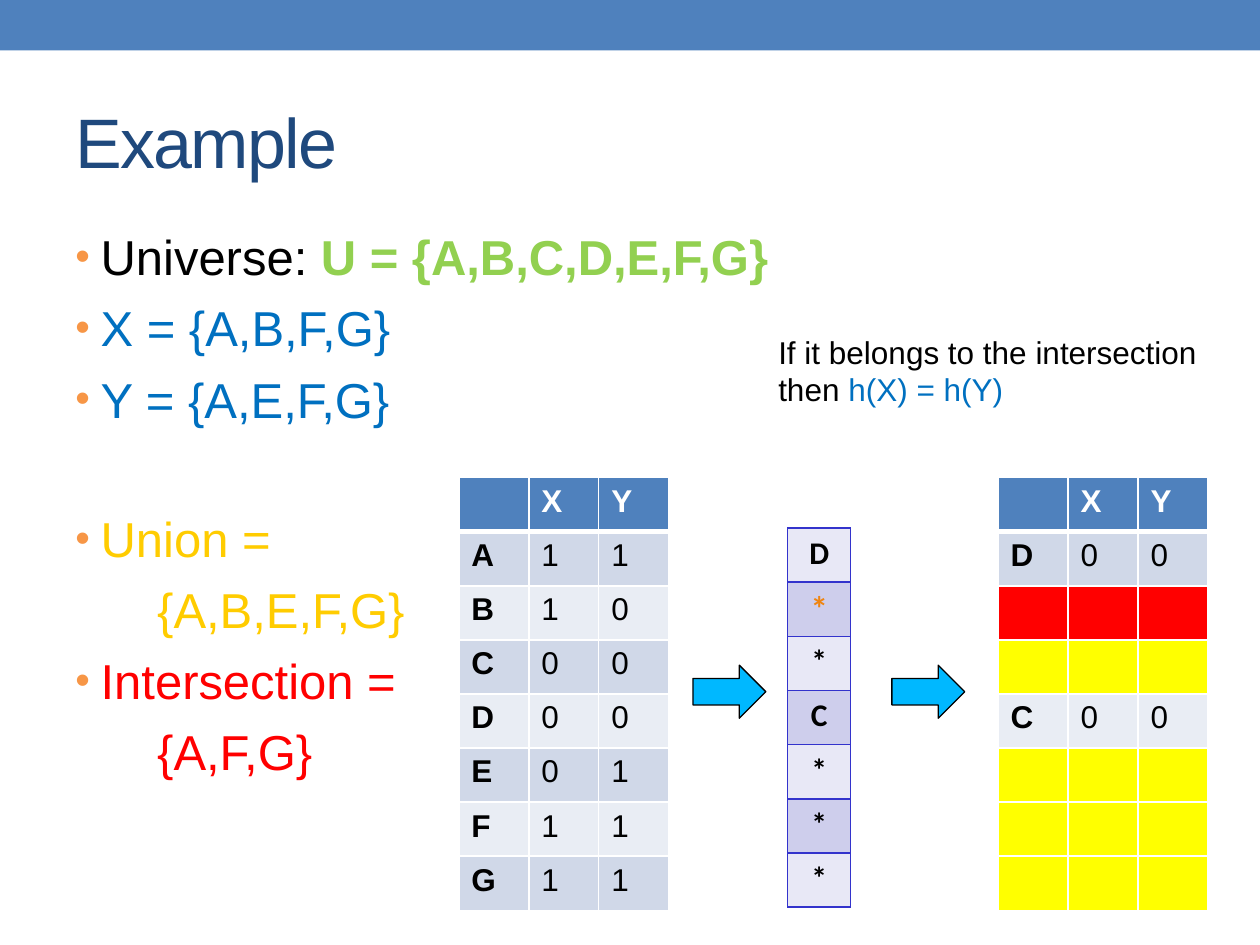
from dataclasses import dataclass

from lxml import etree
from pptx import Presentation
from pptx import util as u
from pptx.dml.color import RGBColor
from pptx.enum import shapes, text
from pptx.oxml import ns


@dataclass(frozen=True)
class Theme:
    sans: str = "Arial"
    hash_font: str = "Calibri"
    title_size: int = 40
    body_size: int = 28
    star_size: int = 20
    small_size: int = 18
    black: str = "000000"
    white: str = "FFFFFF"
    navy: str = "1F497D"
    header: str = "4F81BD"
    bullet: str = "F79646"
    universe: str = "92D050"
    sets: str = "0070C0"
    union: str = "FFCC00"
    red: str = "FF0000"
    yellow: str = "FFFF00"
    arrow: str = "00B8FF"
    star: str = "EF8511"
    hash_line: str = "3333CC"
    bands: tuple = ("D0D8E8", "E9EDF4")
    hash_bands: tuple = ("E8E8F6", "CECEEC")


def set_attributes(target, values):
    for name, value in values.items():
        setattr(target, name, value)


class SlideBuilder:
    def __init__(self, slide, theme):
        self.slide = slide
        self.theme = theme

    def run(self, paragraph, words, size, color, bold=False, font=None):
        run = paragraph.add_run()
        run.text = words
        values = {"size": u.Pt(size), "bold": bold, "name": font or self.theme.sans}
        set_attributes(run.font, values)
        run.font.color.rgb = RGBColor.from_string(color)
        return run

    def text_box(self, box, anchor=text.MSO_ANCHOR.TOP):
        frame = self.slide.shapes.add_textbox(*map(u.Cm, box)).text_frame
        set_attributes(frame, {"word_wrap": True, "vertical_anchor": anchor})
        return frame

    def title(self, box, words):
        frame = self.text_box(box, text.MSO_ANCHOR.MIDDLE)
        run = self.run(frame.paragraphs[0], words, self.theme.title_size, self.theme.navy)
        run._r.get_or_add_rPr().set("spc", "-100")

    def bullets(self, box, lines):
        frame = self.text_box(box)
        for index, (bulleted, before, parts) in enumerate(lines):
            paragraph = frame.paragraphs[0] if index == 0 else frame.add_paragraph()
            paragraph.space_before = u.Pt(before)
            properties = paragraph._p.get_or_add_pPr()
            properties.set("marL", str(u.Cm(0.51 if bulleted else 1.65)))
            properties.set("indent", str(u.Cm(-0.51 if bulleted else 0)))
            if bulleted:
                color = etree.SubElement(properties, ns.qn("a:buClr"))
                etree.SubElement(color, ns.qn("a:srgbClr"), val=self.theme.bullet)
                etree.SubElement(properties, ns.qn("a:buSzPct"), val="85000")
                etree.SubElement(properties, ns.qn("a:buFont"), typeface=self.theme.sans)
                etree.SubElement(properties, ns.qn("a:buChar"), char="•")
            for words, color, bold in parts:
                self.run(paragraph, words, self.theme.body_size, color, bold)

    def note(self, box, parts):
        paragraph = self.text_box(box).paragraphs[0]
        for words, color in parts:
            self.run(paragraph, words, self.theme.small_size, color)

    def shape(self, kind, box, fill, line=None):
        shape = self.slide.shapes.add_shape(kind, *map(u.Cm, box))
        shape.shadow.inherit = False
        shape.fill.solid()
        shape.fill.fore_color.rgb = RGBColor.from_string(fill)
        if line:
            shape.line.color.rgb = RGBColor.from_string(line)
            shape.line.width = u.Pt(0.75)
        else:
            shape.line.fill.background()

    def grid(self, left, top, column_width, rows, columns):
        row_height = 1.09
        box = (left, top, column_width * columns, row_height * rows)
        table = self.slide.shapes.add_table(rows, columns, *map(u.Cm, box)).table
        for column in table.columns:
            column.width = u.Cm(column_width)
        for row in table.rows:
            row.height = u.Cm(row_height)
        return table

    def cell(self, cell, fill, border, widths):
        cell.fill.solid()
        cell.fill.fore_color.rgb = RGBColor.from_string(fill)
        properties = cell._tc.get_or_add_tcPr()
        for index, (side, width) in enumerate(zip("LRTB", widths)):
            line = etree.Element(ns.qn(f"a:ln{side}"), w=str(u.Pt(width)))
            solid = etree.SubElement(line, ns.qn("a:solidFill"))
            etree.SubElement(solid, ns.qn("a:srgbClr"), val=border)
            properties.insert(index, line)

    def membership_table(self, left, top, rows):
        theme = self.theme
        table = self.grid(left, top, 1.41, len(rows) + 1, 3)
        for r, (values, fill) in enumerate([(" XY", theme.header), *rows]):
            widths = (1, 1, 3 if r == 1 else 1, 3 if r == 0 else 1)
            for c in range(3):
                cell = table.cell(r, c)
                self.cell(cell, fill or theme.bands[(r - 1) % 2], theme.white, widths)
                if values[c:c + 1].strip():
                    color = theme.black if r else theme.white
                    self.run(cell.text_frame.paragraphs[0], values[c], theme.small_size,
                             color, bold=r == 0 or c == 0)

    def hash_table(self, left, top, values, star_row):
        theme = self.theme
        table = self.grid(left, top, 1.27, len(values), 1)
        for r, value in enumerate(values):
            cell = table.cell(r, 0)
            self.cell(cell, theme.hash_bands[r % 2], theme.hash_line, (1, 1, 1, 1))
            paragraph = cell.text_frame.paragraphs[0]
            paragraph.alignment = text.PP_ALIGN.CENTER
            size, color = ((theme.star_size, theme.star) if r == star_row
                           else (theme.small_size, theme.black))
            self.run(paragraph, value, size, color, True, theme.hash_font)


def main():
    theme = Theme()
    presentation = Presentation()
    set_attributes(presentation, {"slide_width": u.Cm(25.4), "slide_height": u.Cm(19.05)})
    slide = presentation.slides.add_slide(presentation.slide_layouts[6])
    builder = SlideBuilder(slide, theme)
    kinds = shapes.MSO_SHAPE

    builder.shape(kinds.RECTANGLE, (0, 0, 25.4, 1.02), theme.header)
    builder.title((1.27, 1.47, 22.86, 2.74), "Example")
    builder.bullets((1.27, 4.45, 22.86, 13.54), [
        (True, 3, [("Universe: ", theme.black, False),
                   ("U = {A,B,C,D,E,F,G}", theme.universe, True)]),
        (True, 7, [("X = {A,B,F,G}", theme.sets, False)]),
        (True, 7, [("Y = {A,E,F,G}", theme.sets, False)]),
        (True, 46, [("Union =", theme.union, False)]),
        (False, 7, [("{A,B,E,F,G}", theme.union, False)]),
        (True, 7, [("Intersection =", theme.red, False)]),
        (False, 7, [("{A,F,G}", theme.red, False)]),
    ])

    members = ("A11", "B10", "C00", "D00", "E01", "F11", "G11")
    builder.membership_table(9.25, 9.63, [(row, None) for row in members])
    builder.hash_table(15.88, 10.64, "D**C***", star_row=1)
    for left in (13.97, 17.98):
        builder.shape(kinds.RIGHT_ARROW, (left, 13.41, 1.47, 1.07), theme.arrow, theme.black)
    builder.membership_table(20.12, 9.63, [
        ("D00", None), ("", theme.red), ("", theme.yellow), ("C00", None),
        *[("", theme.yellow)] * 3,
    ])
    builder.note((15.44, 6.58, 9.96, 1.8), [
        ("If it belongs to the intersection then ", theme.black),
        ("h(X) = h(Y)", theme.sets),
    ])
    presentation.save("out.pptx")


if __name__ == "__main__":
    main()
